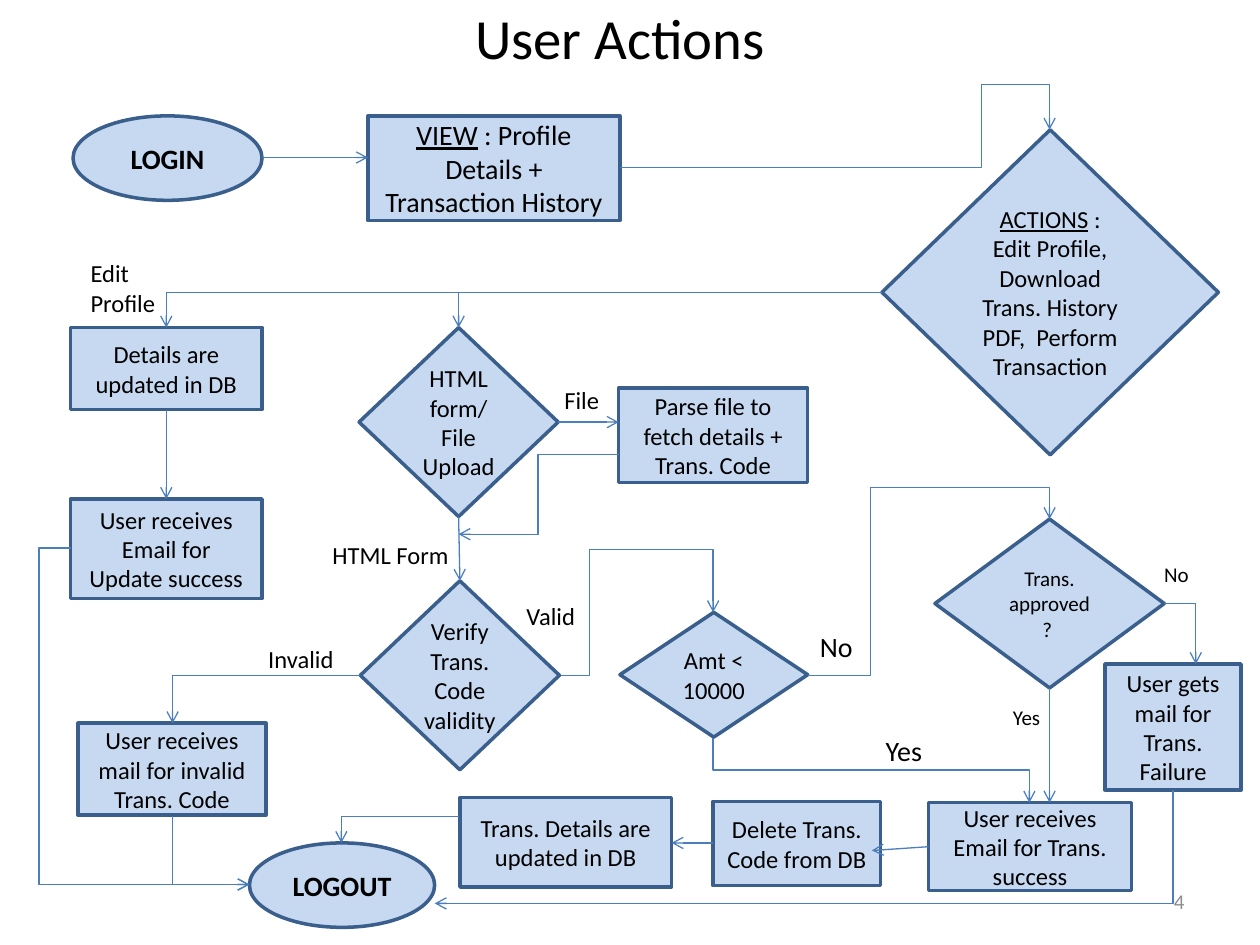
from lxml import etree
from pptx import Presentation
from pptx.dml import color
from pptx.enum import shapes, text
from pptx.oxml import ns
from pptx.util import Inches, Pt

RECTANGLE = shapes.MSO_SHAPE.RECTANGLE
DIAMOND = shapes.MSO_SHAPE.DIAMOND
OVAL = shapes.MSO_SHAPE.OVAL


def rgb(value):
    return color.RGBColor.from_string(value)


class FlowSlide:
    font = "Calibri"
    ink = "000000"
    fill = "C6D9F1"
    border = "3A5F8C"
    arrow_color = "4B7EBC"

    def __init__(self, slide):
        self.slide = slide

    def add_text(self, paragraph, content, size, ink=None, bold=False, underline=False):
        run = paragraph.add_run()
        run.text = content
        run.font.name = self.font
        run.font.size = Pt(size)
        run.font.bold = bold
        run.font.underline = underline
        run.font.color.rgb = rgb(ink or self.ink)

    def title(self, content, left, top, width, height):
        shape = self.slide.shapes.title
        shape.left, shape.top = Inches(left), Inches(top)
        shape.width, shape.height = Inches(width), Inches(height)
        frame = shape.text_frame
        frame.auto_size = text.MSO_AUTO_SIZE.NONE
        frame.vertical_anchor = text.MSO_ANCHOR.MIDDLE
        frame.paragraphs[0].alignment = text.PP_ALIGN.CENTER
        self.add_text(frame.paragraphs[0], content, 32.4)

    def node(self, kind, left, top, width, height, content, size=14, heading=""):
        shape = self.slide.shapes.add_shape(
            kind, Inches(left), Inches(top), Inches(width), Inches(height))
        shape.shadow.inherit = False
        shape.fill.solid()
        shape.fill.fore_color.rgb = rgb(self.fill)
        shape.line.color.rgb = rgb(self.border)
        shape.line.width = Pt(2)
        frame = shape.text_frame
        frame.word_wrap = True
        frame.vertical_anchor = text.MSO_ANCHOR.MIDDLE
        paragraph = frame.paragraphs[0]
        paragraph.alignment = text.PP_ALIGN.CENTER
        if heading:
            self.add_text(paragraph, heading, size, underline=True)
        self.add_text(paragraph, content, size, bold=kind == OVAL)

    def label(self, left, top, width, height, lines, size=14, ink=None,
              alignment=text.PP_ALIGN.LEFT, anchor=text.MSO_ANCHOR.TOP):
        shape = self.slide.shapes.add_textbox(
            Inches(left), Inches(top), Inches(width), Inches(height))
        frame = shape.text_frame
        frame.word_wrap = False
        frame.vertical_anchor = anchor
        for index, line in enumerate(lines):
            paragraph = frame.add_paragraph() if index else frame.paragraphs[0]
            paragraph.alignment = alignment
            self.add_text(paragraph, line, size, ink)

    def arrow(self, *points):
        (x1, y1), (x2, y2) = points[0], points[-1]
        dx, dy = x2 - x1, y2 - y1
        bent = len(points) > 2
        vertical = bent and points[1][0] == x1
        begin, end = (x1, y1), (x2, y2)
        if vertical:
            x, y = (x1 + x2) / 2, (y1 + y2) / 2
            begin = (x - dy / 2, y + dx / 2)
            end = (x + dy / 2, y - dx / 2)
        kind = shapes.MSO_CONNECTOR.ELBOW if bent else shapes.MSO_CONNECTOR.STRAIGHT
        connector = self.slide.shapes.add_connector(
            kind, *[Inches(value) for value in begin + end])
        connector.line.color.rgb = rgb(self.arrow_color)
        connector.line.width = Pt(0.75)
        properties = connector._element.spPr
        if vertical:
            properties.find(ns.qn("a:xfrm")).set("rot", "5400000")
        if bent:
            self.bend(properties.find(ns.qn("a:prstGeom")), points, dx, dy, vertical)
        line = properties.find(ns.qn("a:ln"))
        etree.SubElement(line, ns.qn("a:tailEnd"), type="arrow")
        etree.SubElement(properties, ns.qn("a:effectLst"))

    def bend(self, geometry, points, dx, dy, vertical):
        geometry.set("prst", f"bentConnector{len(points) - 1}")
        guides = geometry.find(ns.qn("a:avLst"))
        if guides is None:
            guides = etree.SubElement(geometry, ns.qn("a:avLst"))
        across = (points[1][0] - points[0][0]) / dx
        down = (points[1][1] - points[0][1]) / dy
        ratios = [down if vertical else across]
        ratios.append((points[2][1] - points[0][1]) / dy)
        for index, ratio in enumerate(ratios[:len(points) - 3], 1):
            etree.SubElement(guides, ns.qn("a:gd"), name=f"adj{index}",
                             fmla=f"val {round(ratio * 100000)}")


NODES = [
    (OVAL, 0.58, 0.92, 1.5, 0.67, "LOGIN", 16),
    (RECTANGLE, 2.92, 0.92, 2, 0.83, " : Profile Details + Transaction History", 16, "VIEW"),
    (DIAMOND, 7, 1.03, 2.67, 2.58,
     " : Edit Profile, Download Trans. History PDF,  Perform Transaction", 14, "ACTIONS"),
    (RECTANGLE, 0.56, 2.6, 1.52, 0.65, "Details are updated in DB"),
    (RECTANGLE, 0.56, 3.96, 1.52, 0.79, "User receives Email for Update success"),
    (DIAMOND, 2.85, 2.6, 1.58, 1.5, "HTML form/ File Upload"),
    (DIAMOND, 2.86, 4.61, 1.58, 1.5, "Verify Trans. Code validity"),
    (RECTANGLE, 7.37, 6.37, 1.61, 0.7, "User receives Email for Trans. success"),
    (RECTANGLE, 5.66, 6.36, 1.33, 0.67, "Delete Trans. Code from DB"),
    (RECTANGLE, 0.62, 5.74, 1.49, 0.73, "User receives mail for invalid Trans. Code"),
    (RECTANGLE, 4.91, 3.08, 1.5, 0.75, "Parse file to fetch details + Trans. Code"),
    (RECTANGLE, 3.65, 6.33, 1.68, 0.71, "Trans. Details are updated in DB"),
    (DIAMOND, 4.92, 4.86, 1.49, 0.99, "Amt < 10000"),
    (OVAL, 1.98, 6.69, 1.47, 0.67, "LOGOUT", 16),
    (DIAMOND, 7.42, 4.12, 1.82, 1.34, "Trans. approved ? ", 12),
    (RECTANGLE, 8.77, 5.27, 1.08, 1, "User gets mail for Trans. Failure"),
]

ARROWS = [
    [(2.08, 1.25), (2.92, 1.25)],
    [(4.92, 1.33), (7.79, 1.33), (7.79, 0.67), (8.33, 0.67), (8.33, 1.03)],
    [(7, 2.32), (1.32, 2.32), (1.32, 2.6)],
    [(3.64, 2.32), (3.64, 2.6)],
    [(1.32, 3.25), (1.32, 3.96)],
    [(0.56, 4.35), (0.31, 4.35), (0.31, 7.02), (1.98, 7.02)],
    [(4.43, 3.35), (4.91, 3.35)],
    [(4.91, 3.61), (4.27, 3.61), (4.27, 4.24), (3.64, 4.24)],
    [(3.64, 4.1), (3.65, 4.61)],
    [(2.86, 5.36), (1.37, 5.36), (1.37, 5.74)],
    [(1.37, 6.48), (1.37, 7.02), (1.98, 7.02)],
    [(4.45, 5.36), (4.68, 5.36), (4.68, 4.36), (5.66, 4.36), (5.66, 4.86)],
    [(6.41, 5.36), (6.91, 5.36), (6.91, 3.87), (8.33, 3.87), (8.33, 4.12)],
    [(5.66, 5.86), (5.66, 6.11), (8.17, 6.11), (8.17, 6.37)],
    [(9.24, 4.79), (9.49, 4.79), (9.49, 5.27)],
    [(8.33, 5.46), (8.33, 6.37)],
    [(9.31, 6.27), (9.31, 7.17), (3.45, 7.17)],
    [(7.37, 6.72), (6.92, 6.75)],
    [(5.66, 6.69), (5.33, 6.69)],
    [(3.64, 6.48), (2.71, 6.48), (2.71, 6.69)],
]

LABELS = [
    (0.62, 2, 0.72, 0.57, ["Edit ", "Profile"]),
    (4.38, 3.01, 0.49, 0.34, ["File"]),
    (2.54, 4.24, 1.13, 0.34, ["HTML Form"]),
    (2.03, 5.06, 0.73, 0.34, ["Invalid"]),
    (4.08, 4.72, 0.59, 0.34, ["Valid"]),
    (6.93, 5.77, 0.49, 0.37, ["Yes"], 16),
    (6.41, 4.95, 0.47, 0.37, ["No"], 16),
    (7.94, 5.54, 0.42, 0.3, ["Yes"], 12),
    (9.14, 4.41, 0.4, 0.3, ["No"], 12),
]

presentation = Presentation()
presentation.slide_width = Inches(10)
presentation.slide_height = Inches(7.5)
flow = FlowSlide(presentation.slides.add_slide(presentation.slide_layouts[5]))
flow.title("User Actions", 0.42, 0, 9, 0.58)
for node in NODES:
    flow.node(*node)
for route in ARROWS:
    flow.arrow(*route)
for label in LABELS:
    flow.label(*label)
flow.label(7.17, 6.95, 2.33, 0.4, ["4"], 12, "8C8C8C",
           text.PP_ALIGN.RIGHT, text.MSO_ANCHOR.MIDDLE)
presentation.save("out.pptx")
